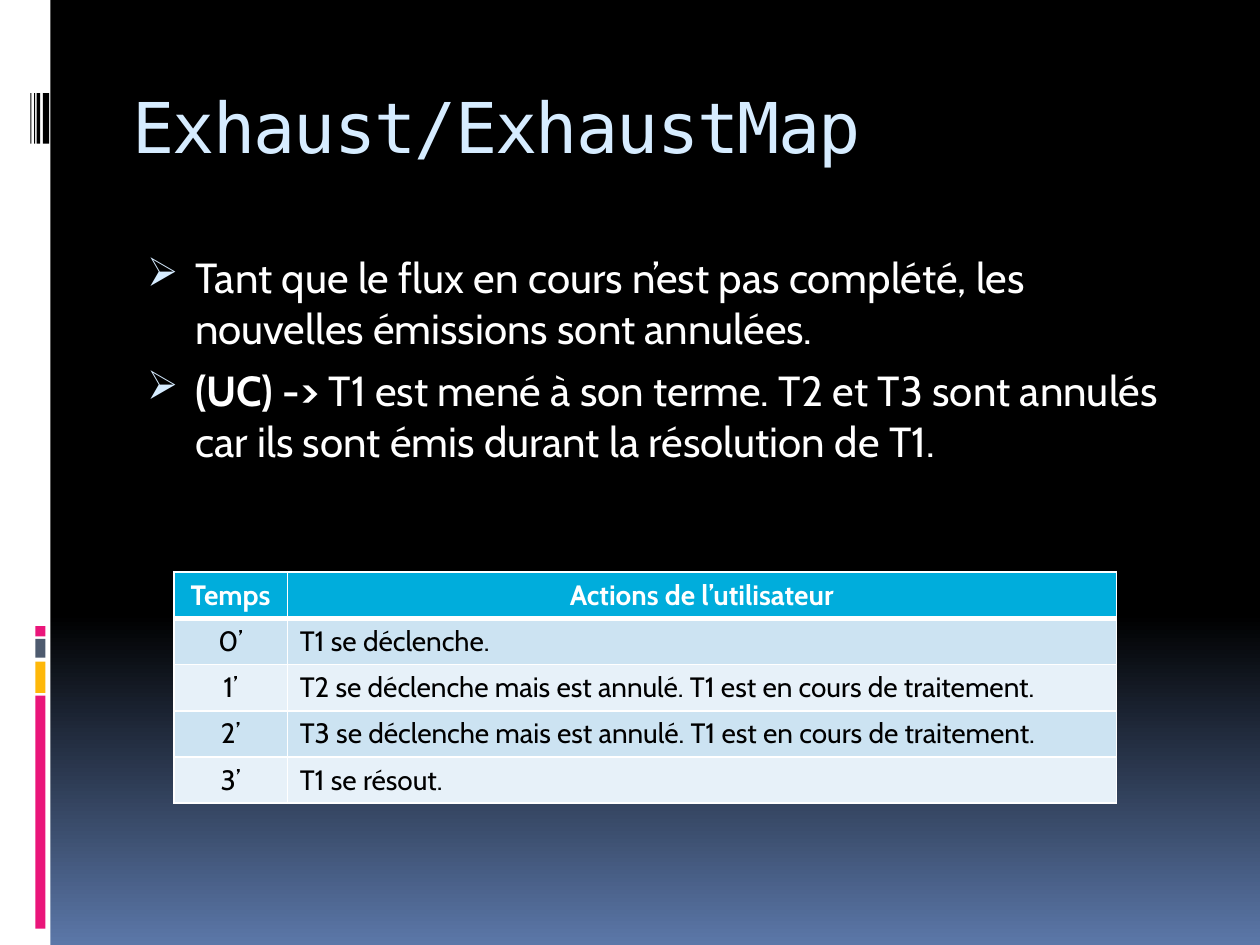
from lxml.etree import SubElement
from pptx import Presentation
from pptx.dml.color import RGBColor as RGB
from pptx.enum.shapes import MSO_SHAPE as Shape
from pptx.enum.text import MSO_ANCHOR as Anchor, PP_ALIGN as Align
from pptx.oxml.ns import qn
from pptx.util import Inches, Pt

WHITE, BLACK = RGB(255, 255, 255), RGB(0, 0, 0)
NIGHT, ICE = RGB(0x5B, 0x77, 0xA8), RGB(0xD6, 0xEC, 0xFF)
PINK, GOLD, SLATE = RGB(0xEA, 0x15, 0x7A), RGB(0xFE, 0xB8, 0x0A), RGB(0x4E, 0x5B, 0x6F)
CYAN = RGB(0x00, 0xAD, 0xDC)
BANDS = [RGB(0xCC, 0xE3, 0xF2), RGB(0xE7, 0xF1, 0xF9)]
FONT, MONO = "Cabin", "DejaVu Sans Mono"

# Content
TITLE = "Exhaust/ExhaustMap"
POINTS = [  # bold lead, text
    ("", "Tant que le flux en cours n’est pas complété, les nouvelles émissions sont annulées."),
    ("(UC) -> ", "T1 est mené à son terme. T2 et T3 sont annulés car ils sont émis durant la résolution de T1."),
]
ROWS = [
    ("Temps", "Actions de l’utilisateur"),
    ("0’", "T1 se déclenche."),
    ("1’", "T2 se déclenche mais est annulé. T1 est en cours de traitement."),
    ("2’", "T3 se déclenche mais est annulé. T1 est en cours de traitement."),
    ("3’", "T1 se résout."),
]
BLOCKS = [(4.97, 0.08, PINK), (5.07, 0.15, SLATE), (5.25, 0.25, GOLD), (5.52, 1.85, PINK)]  # top, height
CODE = [(0.24, 0.01), (0.27, 0.01), (0.29, 0.03), (0.34, 0.05)]  # left, width

# Grid, in inches
WIDE, HIGH = 10, 7.5
LEFT, SPAN = 0.1 * WIDE, 0.85 * WIDE
COLS, ROW = (0.9, 6.58), 0.366


def box(x, y, w, h):
    return [Inches(v) for v in (x, y, w, h)]


def bar(slide, x, y, w, h, color):
    rect = slide.shapes.add_shape(Shape.RECTANGLE, *box(x, y, w, h))
    rect.shadow.inherit = False
    rect.fill.solid()
    rect.fill.fore_color.rgb = color
    rect.line.fill.background()


def style(font, size, color, name=FONT):
    font.name, font.size, font.color.rgb = name, Pt(size), color


def bullet(para):
    props = para._p.get_or_add_pPr()
    props.set("marL", str(Inches(0.45)))
    props.set("indent", str(Inches(-0.38)))
    tint = SubElement(props, qn("a:buClr"))
    SubElement(tint, qn("a:srgbClr"), val=str(ICE))
    SubElement(props, qn("a:buSzPct"), val="95000")
    SubElement(props, qn("a:buChar"), char="➢")


def edges(cell, base):
    props = cell._tc.get_or_add_tcPr()
    for side, width in (("L", 1), ("R", 1), ("T", 1), ("B", base)):
        line = SubElement(props, qn(f"a:ln{side}"), w=str(Pt(width)))
        fill = SubElement(line, qn("a:solidFill"))
        SubElement(fill, qn("a:srgbClr"), val=str(WHITE))


deck = Presentation()
deck.slide_width, deck.slide_height = Inches(WIDE), Inches(HIGH)
slide = deck.slides.add_slide(deck.slide_layouts[5])

# Background: black, fading to blue at the foot
back = slide.background.fill
back.gradient()
back.gradient_angle = 270
for stop, (spot, color) in zip(back.gradient_stops, [(0.65, BLACK), (1, NIGHT)]):
    stop.position, stop.color.rgb = spot, color

# Side strip
bar(slide, 0, 0, 0.04 * WIDE, HIGH, WHITE)
for top, tall, color in BLOCKS:
    bar(slide, 0.28, top, 0.08, tall, color)
for x, width in CODE:
    bar(slide, x, 0.74, width, 0.4, BLACK)

# Title
title = slide.shapes.title
title.left, title.top, title.width, title.height = box(LEFT, 0.56, SPAN, 1)
frame = title.text_frame
frame.text = TITLE
frame.vertical_anchor = Anchor.TOP
frame.margin_left, frame.margin_top = Inches(0.05), Inches(0.1)
head = frame.paragraphs[0]
head.alignment = Align.LEFT
style(head.font, 40, ICE, MONO)
head.runs[0].font._element.set("spc", "-100")

# Bullet points
frame = slide.shapes.add_textbox(*box(LEFT, 1.95, SPAN, 5)).text_frame
frame.word_wrap = True
for i, (lead, text) in enumerate(POINTS):
    para = frame.add_paragraph() if i else frame.paragraphs[0]
    para.space_before = Pt(7)
    bullet(para)
    style(para.font, 24, WHITE)
    for words, bold in ((lead, True), (text, False)):
        if words:
            run = para.add_run()
            run.text, run.font.bold = words, bold

# Table
table = slide.shapes.add_table(
    len(ROWS), len(COLS), *box(1.38, 4.54, sum(COLS), ROW * len(ROWS))).table
for col, width in zip(table.columns, COLS):
    col.width = Inches(width)
for r, row in enumerate(ROWS):
    for c, text in enumerate(row):
        cell = table.cell(r, c)
        cell.text = text
        cell.vertical_anchor = Anchor.MIDDLE
        edges(cell, 1 if r else 3)
        cell.fill.solid()
        cell.fill.fore_color.rgb = BANDS[(r - 1) % 2] if r else CYAN
        para = cell.text_frame.paragraphs[0]
        para.alignment = Align.LEFT if r and c else Align.CENTER
        style(para.font, 16, BLACK if r else WHITE)
        para.font.bold = r == 0

deck.save("out.pptx")
